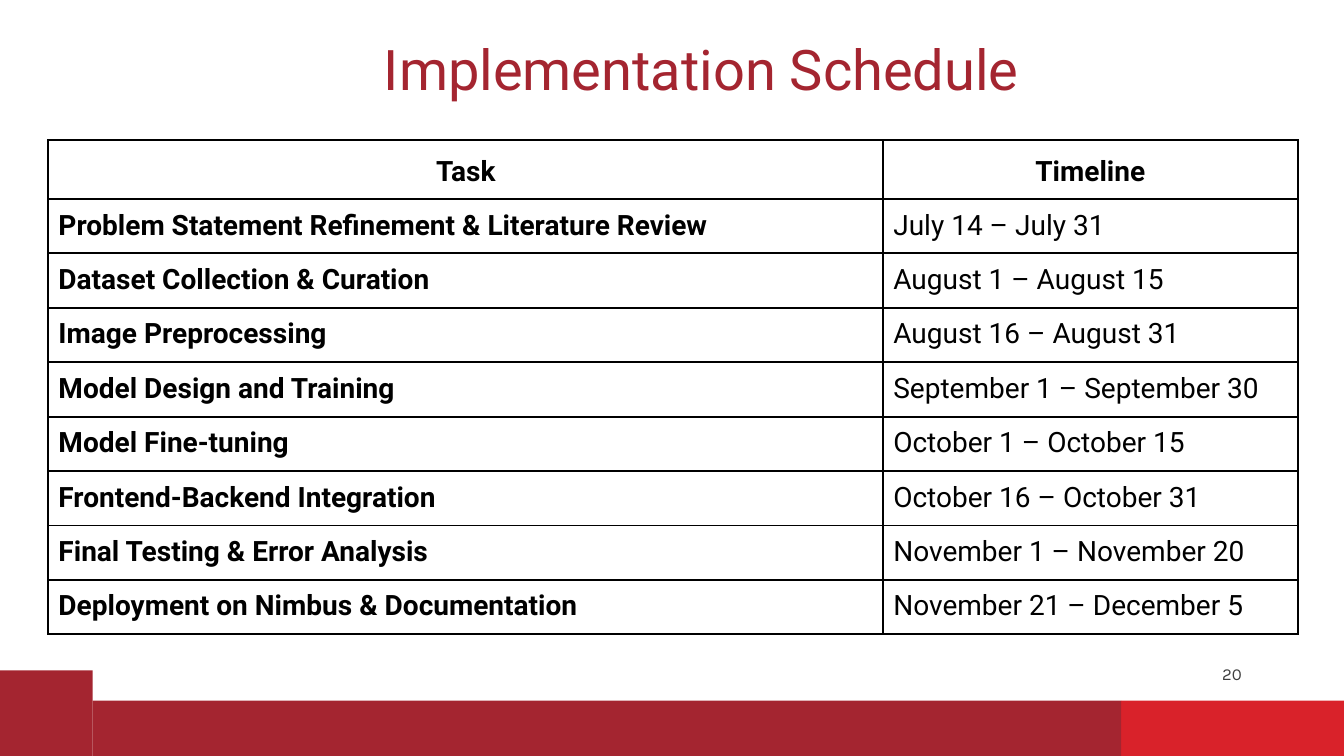
import pptx
import pptx.dml.color
import pptx.enum.shapes
import pptx.enum.text
import pptx.oxml
import pptx.oxml.ns
import pptx.util
from pptx.util import Inches

ALIGN = pptx.enum.text.PP_ALIGN
ANCHOR = pptx.enum.text.MSO_ANCHOR

CRIMSON = "A42530"
RED = "D9222A"
BLACK = "000000"
GREY = "3F3F3F"

SCHEDULE = [
    ("Task", "Timeline"),
    ("Problem Statement Refinement & Literature Review", "July 14 – July 31"),
    ("Dataset Collection & Curation", "August 1 – August 15"),
    ("Image Preprocessing", "August 16 – August 31"),
    ("Model Design and Training", "September 1 – September 30"),
    ("Model Fine-tuning", "October 1 – October 15"),
    ("Frontend-Backend Integration", "October 16 – October 31"),
    ("Final Testing & Error Analysis", "November 1 – November 20"),
    ("Deployment on Nimbus & Documentation", "November 21 – December 5"),
]
COLUMN_WIDTHS = (8.28, 4.11)
HEADER_HEIGHT = 0.51
ROW_HEIGHT = 0.54


def rgb(color):
    return pptx.dml.color.RGBColor.from_string(color)


def style_paragraph(p, font, size, color, bold=False, align=ALIGN.LEFT, spacing=1.0):
    p.alignment = align
    p.line_spacing = spacing
    p.font.name = font
    p.font.size = pptx.util.Pt(size)
    p.font.bold = bold
    p.font.color.rgb = rgb(color)


def add_band(slide, left, top, width, height, color):
    sp = slide.shapes.add_shape(
        pptx.enum.shapes.MSO_SHAPE.RECTANGLE,
        Inches(left), Inches(top), Inches(width), Inches(height))
    sp.shadow.inherit = False
    sp.fill.solid()
    sp.fill.fore_color.rgb = rgb(color)
    sp.line.fill.background()


def add_text(slide, left, top, width, height, text, **style):
    sp = slide.shapes.add_textbox(
        Inches(left), Inches(top), Inches(width), Inches(height))
    tf = sp.text_frame
    tf.word_wrap = True
    tf.vertical_anchor = ANCHOR.MIDDLE
    p = tf.paragraphs[0]
    p.text = text
    style_paragraph(p, **style)


def set_borders(cell, color, width):
    """Draw all four edges of the cell; call before filling it."""
    tc_pr = cell._tc.get_or_add_tcPr()
    for edge in ("lnL", "lnR", "lnT", "lnB"):
        tc_pr.append(pptx.oxml.parse_xml(
            f'<a:{edge} {pptx.oxml.ns.nsdecls("a")} w="{pptx.util.Pt(width)}">'
            f'<a:solidFill><a:srgbClr val="{color}"/></a:solidFill></a:{edge}>'))


def fill_cell(cell, text, **style):
    set_borders(cell, BLACK, 1.5)
    cell.fill.background()
    cell.margin_left = cell.margin_right = Inches(0.1)
    cell.margin_top = cell.margin_bottom = Inches(0.1)
    p = cell.text_frame.paragraphs[0]
    p.text = text
    style_paragraph(p, "Roboto", 20, BLACK, **style)


def add_schedule(slide, left, top):
    height = HEADER_HEIGHT + ROW_HEIGHT * (len(SCHEDULE) - 1)
    table = slide.shapes.add_table(
        len(SCHEDULE), len(COLUMN_WIDTHS), Inches(left), Inches(top),
        Inches(sum(COLUMN_WIDTHS)), Inches(height)).table
    table.horz_banding = False
    for column, width in zip(table.columns, COLUMN_WIDTHS):
        column.width = Inches(width)
    for i, (task, timeline) in enumerate(SCHEDULE):
        header = i == 0
        table.rows[i].height = Inches(HEADER_HEIGHT if header else ROW_HEIGHT)
        layout = {"align": ALIGN.CENTER, "spacing": 1.15} if header else {}
        fill_cell(table.cell(i, 0), task, bold=True, **layout)
        fill_cell(table.cell(i, 1), timeline, bold=header, **layout)


def main():
    prs = pptx.Presentation()
    prs.slide_width = Inches(13.33)
    prs.slide_height = Inches(7.5)
    slide = prs.slides.add_slide(prs.slide_layouts[6])

    add_band(slide, 0, 6.65, 0.92, 0.85, CRIMSON)
    add_band(slide, 11.12, 6.95, 2.21, 0.55, RED)
    add_band(slide, 0.92, 6.95, 10.2, 0.55, CRIMSON)
    add_text(slide, 11.12, 6.41, 2.2, 0.54, "20",
             font="Karla", size=12, color=GREY, align=ALIGN.CENTER)
    add_text(slide, 3.71, 0.13, 6.75, 1.17, "Implementation Schedule",
             font="Roboto", size=40, color=CRIMSON, spacing=0.9)
    add_schedule(slide, 0.48, 1.39)

    prs.save("out.pptx")


if __name__ == "__main__":
    main()
